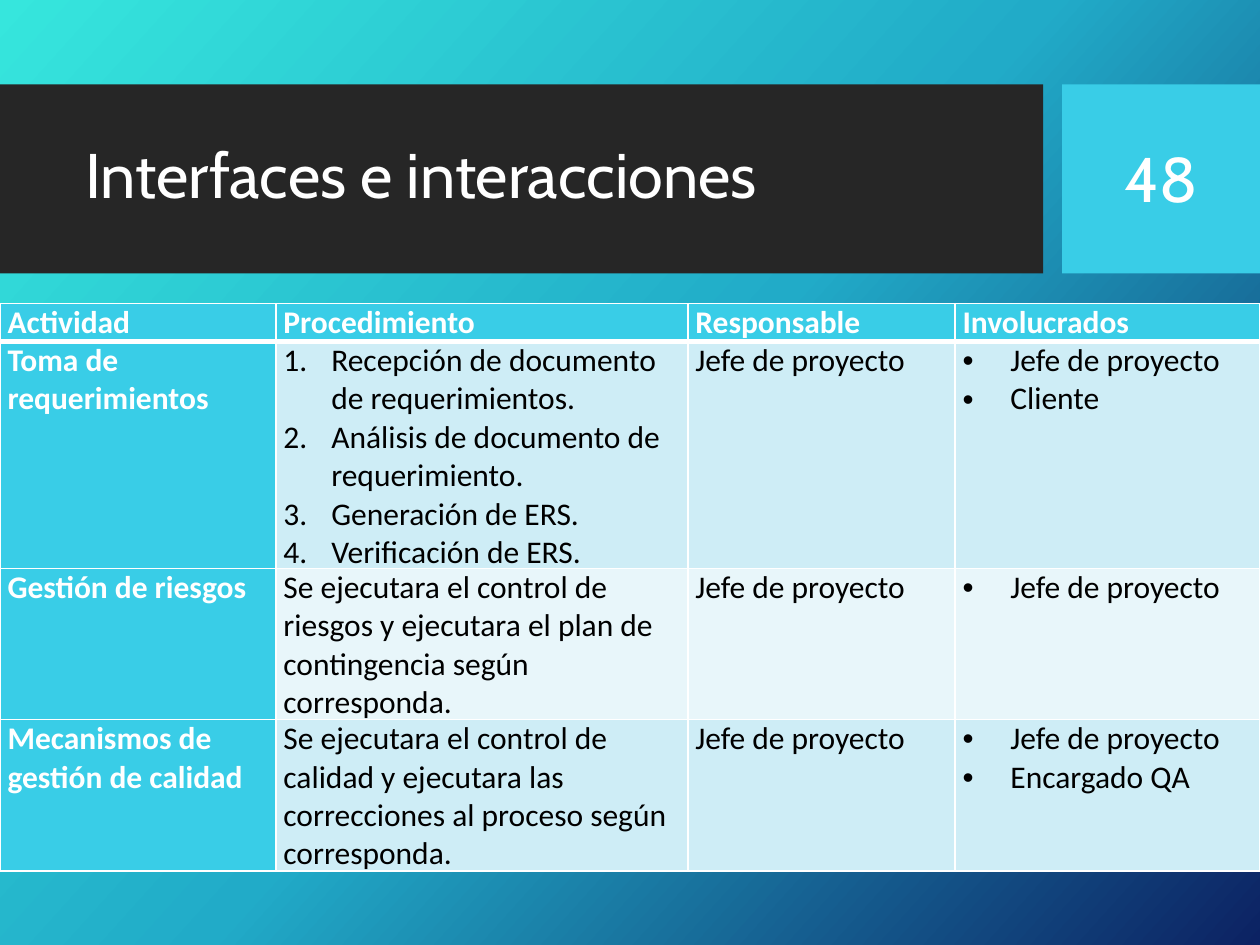
from lxml import etree
from pptx import Presentation
from pptx.dml.color import RGBColor
from pptx.enum.shapes import MSO_SHAPE
from pptx.enum.text import MSO_ANCHOR, PP_ALIGN
from pptx.oxml.ns import qn
from pptx.util import Inches, Pt

RECT = MSO_SHAPE.RECTANGLE
MIDDLE = MSO_ANCHOR.MIDDLE
LEFT, CENTER = PP_ALIGN.LEFT, PP_ALIGN.CENTER

WHITE, BLACK, DARK, CYAN = "FFFFFF", "000000", "262626", "39CDE7"
BANDS = ["CEEDF6", "E8F6FA"]
GRADIENT = [(0, "36E6DD"), (50, "21ABC8"), (100, "0C2263")]
GRADIENT_ANGLE = 42

BARS = [(0, 8.28, DARK), (8.43, 1.57, CYAN)]
HEADINGS = [
    ("Interfaces e interacciones", 0.58, 7.54, LEFT, 0.9),
    ("48", 8.58, 1.27, CENTER, 1.0),
]

COLUMNS = [2.19, 3.27, 2.12, 2.42]
ROW_LINES = [1, 6, 4, 4]
LINE_HEIGHT = 0.3
INDENT = 0.38
NUMBERED = ("buAutoNum", {"type": "arabicPeriod"})
BULLETED = ("buChar", {"char": "•"})
LIST_STYLES = {(1, 1): NUMBERED, (1, 3): BULLETED, (2, 3): BULLETED, (3, 3): BULLETED}
ROWS = [
    [["Actividad"], ["Procedimiento"], ["Responsable"], ["Involucrados"]],
    [
        ["Toma de requerimientos"],
        [
            "Recepción de documento de requerimientos.",
            "Análisis de documento de requerimiento.",
            "Generación de ERS.",
            "Verificación de ERS.",
        ],
        ["Jefe de proyecto"],
        ["Jefe de proyecto", "Cliente"],
    ],
    [
        ["Gestión de riesgos"],
        ["Se ejecutara el control de riesgos y ejecutara el plan de contingencia según corresponda."],
        ["Jefe de proyecto"],
        ["Jefe de proyecto"],
    ],
    [
        ["Mecanismos de gestión de calidad"],
        ["Se ejecutara el control de calidad y ejecutara las correcciones al proceso según corresponda."],
        ["Jefe de proyecto"],
        ["Jefe de proyecto", "Encargado QA"],
    ],
]


def rgb(color):
    return RGBColor.from_string(color)


def add_xml(parent, tag, **attrs):
    return etree.SubElement(parent, qn(f"a:{tag}"), {k: str(v) for k, v in attrs.items()})


def style_font(p, name, size, color, bold=False):
    p.font.name, p.font.size, p.font.bold = name, Pt(size), bold
    p.font.color.rgb = rgb(color)


def set_background(s):
    fill = s.background.fill
    fill.gradient()
    stops = s.background._cSld.find(".//" + qn("a:gsLst"))
    for stop in list(stops):
        stops.remove(stop)
    for position, color in GRADIENT:
        add_xml(add_xml(stops, "gs", pos=position * 1000), "srgbClr", val=color)
    stops.getparent().find(qn("a:lin")).set("ang", str(GRADIENT_ANGLE * 60000))


def add_bar(s, left, width, color):
    sp = s.shapes.add_shape(RECT, Inches(left), Inches(0.67), Inches(width), Inches(1.5))
    sp.shadow.inherit = False
    sp.fill.solid()
    sp.fill.fore_color.rgb = rgb(color)
    sp.line.fill.background()


def add_heading(s, text, left, width, align, spacing):
    tf = s.shapes.add_textbox(Inches(left), Inches(0.82), Inches(width), Inches(1.18)).text_frame
    tf.word_wrap = True
    tf.vertical_anchor = MIDDLE
    p = tf.paragraphs[0]
    p.text, p.alignment, p.line_spacing = text, align, spacing
    style_font(p, "Cabin", 36, WHITE)


def set_borders(cell, top, bottom):
    tcPr = cell._tc.get_or_add_tcPr()
    for i, (tag, width) in enumerate([("lnL", 1), ("lnR", 1), ("lnT", top), ("lnB", bottom)]):
        ln = add_xml(tcPr, tag, w=Pt(width))
        add_xml(add_xml(ln, "solidFill"), "srgbClr", val=WHITE)
        tcPr.insert(i, ln)


def fill_cell(cell, row, col, lines):
    label = row == 0 or col == 0
    cell.fill.solid()
    cell.fill.fore_color.rgb = rgb(CYAN if label else BANDS[(row - 1) % 2])
    cell.margin_left = cell.margin_right = Inches(0.06)
    cell.margin_top = cell.margin_bottom = 0
    set_borders(cell, 3 if row == 1 else 1, 3 if row == 0 else 1)
    tf = cell.text_frame
    tf.text = "\n".join(lines)
    for p in tf.paragraphs:
        if (row, col) in LIST_STYLES:
            tag, attrs = LIST_STYLES[row, col]
            pPr = p._p.get_or_add_pPr()
            pPr.set("marL", str(Inches(INDENT)))
            pPr.set("indent", str(-Inches(INDENT)))
            add_xml(pPr, "buFont", typeface="Arial" if tag == "buChar" else "+mj-lt")
            add_xml(pPr, tag, **attrs)
        style_font(p, "Calibri", 18, WHITE if label else BLACK, label)


def add_activities(s):
    heights = [n * LINE_HEIGHT for n in ROW_LINES]
    table = s.shapes.add_table(
        len(ROWS), len(COLUMNS), 0, Inches(2.41), Inches(sum(COLUMNS)), Inches(sum(heights))
    ).table
    for column, width in zip(table.columns, COLUMNS):
        column.width = Inches(width)
    for row, (height, cells) in enumerate(zip(heights, ROWS)):
        table.rows[row].height = Inches(height)
        for col, lines in enumerate(cells):
            fill_cell(table.cell(row, col), row, col, lines)


def main():
    prs = Presentation()
    prs.slide_width, prs.slide_height = Inches(10), Inches(7.5)
    s = prs.slides.add_slide(prs.slide_layouts[6])
    set_background(s)
    for bar in BARS:
        add_bar(s, *bar)
    for heading in HEADINGS:
        add_heading(s, *heading)
    add_activities(s)
    prs.save("out.pptx")


if __name__ == "__main__":
    main()
